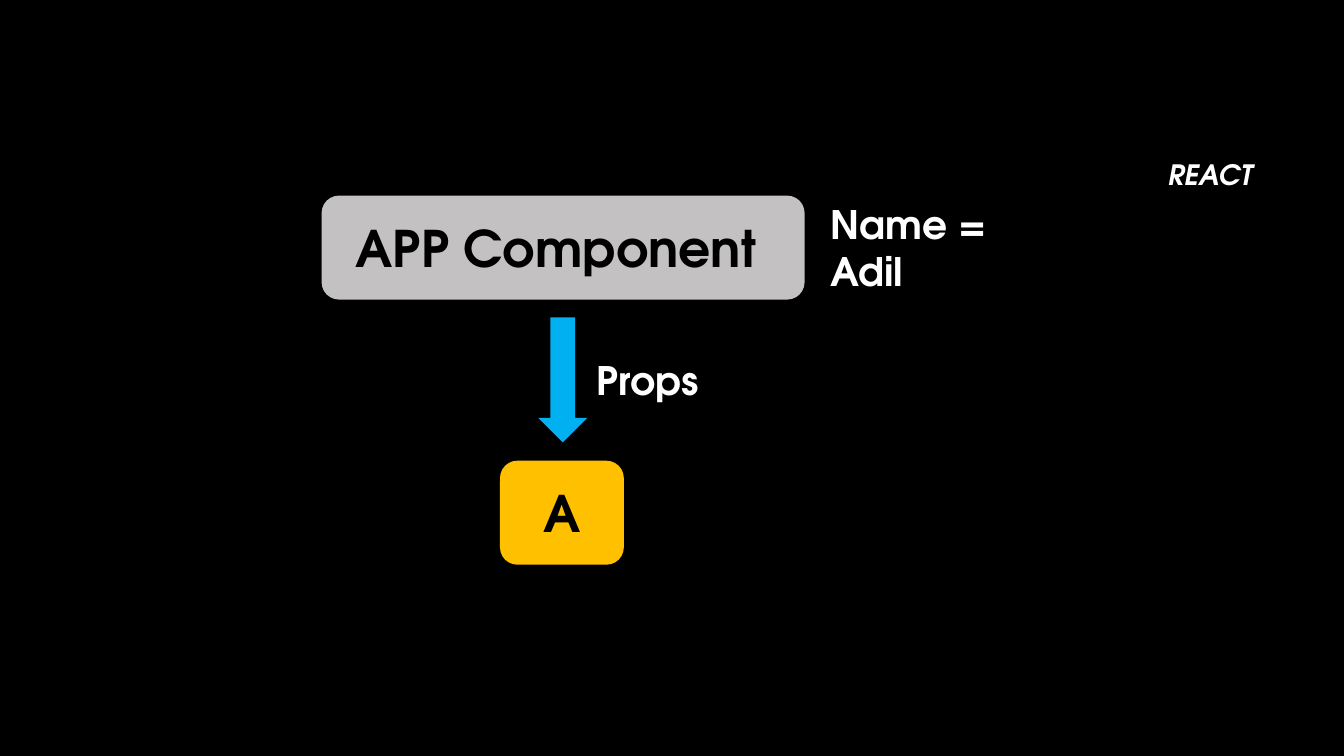
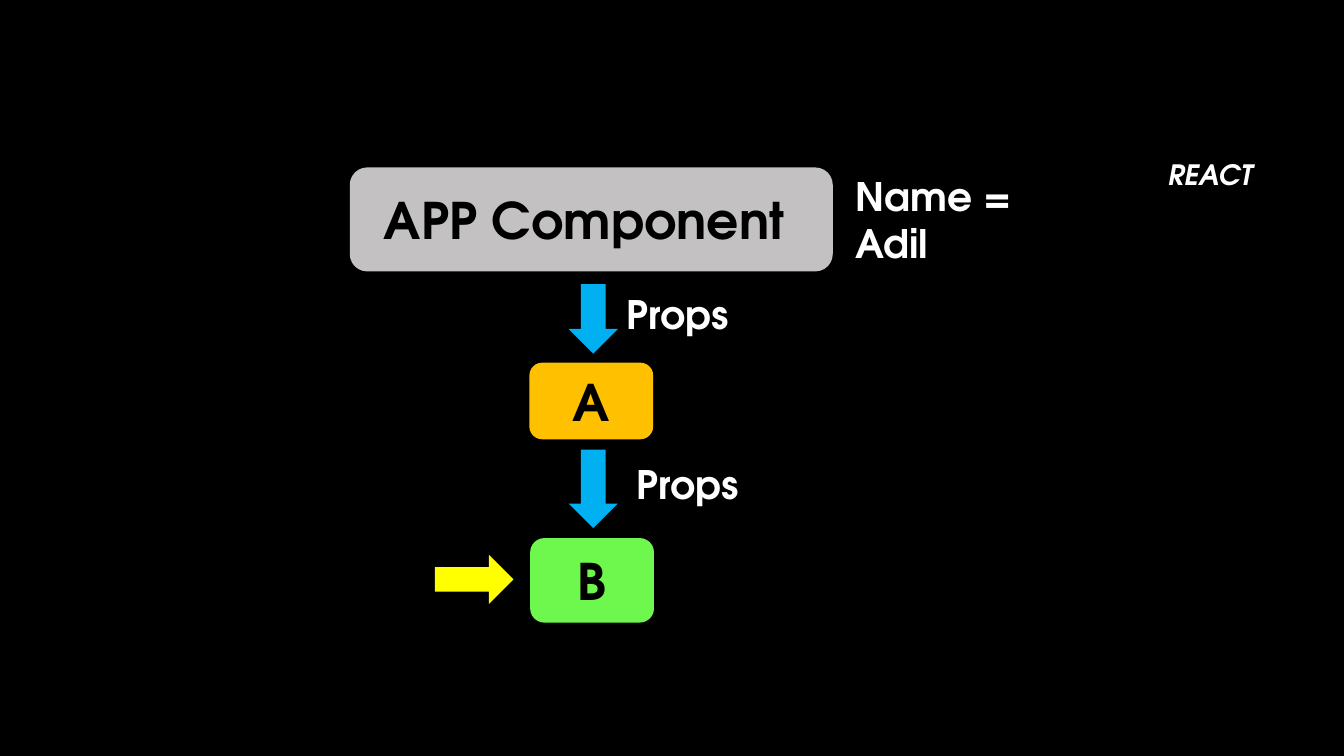
from pptx import Presentation, util as u
from pptx.dml.color import RGBColor
from pptx.enum import shapes, text

FONT = "TeX Gyre Adventor"
BLACK, WHITE, GREY = "000000", "FFFFFF", "C3C1C1"
AMBER, GREEN, BLUE, YELLOW = "FFC000", "6EF84E", "00B0F0", "FFFF00"
ROUND, ARROW = shapes.MSO_SHAPE.ROUNDED_RECTANGLE, shapes.MSO_SHAPE.DOWN_ARROW
APP_W, APP_H, NODE_W, ARROW_W = 12.17, 2.62, 3.12, 1.24
LABEL_H = 1.45


def paint(fmt, color):
    fmt.solid()
    fmt.fore_color.rgb = RGBColor.from_string(color)


def put(s, words, x, y, w, h, shape=None, fill=None, color=WHITE, size=28,
        italic=False, right=0, rotation=0):
    """Add a filled shape, or a plain label when no shape is given."""
    box = [u.Cm(v) for v in (x, y, w, h)]
    if shape is None:
        sp = s.shapes.add_textbox(*box)
        sp.text_frame.margin_right = u.Cm(right)
    else:
        sp = s.shapes.add_shape(shape, *box)
        sp.shadow.inherit = False
        paint(sp.fill, fill)
        sp.line.fill.background()
        sp.rotation = rotation
    if words:
        tf = sp.text_frame
        tf.word_wrap = True
        tf.vertical_anchor = text.MSO_ANCHOR.MIDDLE
        p = tf.paragraphs[0]
        p.alignment = text.PP_ALIGN.CENTER if shape else text.PP_ALIGN.LEFT
        r = p.add_run()
        r.text = words
        r.font.name, r.font.size = FONT, u.Pt(size)
        r.font.bold, r.font.italic = True, italic
        paint(r.font.fill, color)
    return sp


prs = Presentation()
prs.slide_width, prs.slide_height = u.Inches(13.333), u.Inches(7.5)
master = prs.slide_master
paint(master.background.fill, BLACK)

# Each slide: column centre, top of the app box, left of the name label,
# nodes (text, fill, centre, top, height), arrows (centre, top, height),
# props labels (left, top)
slides = [
    dict(center=14.19, top=4.93, name_x=20.68,
         nodes=[("A", AMBER, 14.16, 11.61, 2.62)],
         arrows=[(14.18, 8, 3.15)],
         props=[(14.78, 8.84)]),
    dict(center=14.9, top=4.22, name_x=21.31,
         nodes=[("A", AMBER, 14.9, 9.14, 1.93), ("B", GREEN, 14.92, 13.56, 2.13)],
         arrows=[(14.95, 7.16, 1.75), (14.95, 11.33, 1.98)],
         props=[(15.54, 7.19), (15.8, 11.48)]),
]

for d in slides:
    s = prs.slides.add_slide(prs.slide_layouts[6])

    # App component and its state
    put(s, "APP Component ", d["center"] - APP_W / 2, d["top"], APP_W, APP_H,
        ROUND, GREY, BLACK, 36)
    put(s, "Name = Adil", d["name_x"], d["top"] + 0.58, 6.53, LABEL_H, right=1)

    # Child components
    for name, fill, cx, y, h in d["nodes"]:
        put(s, name, cx - NODE_W / 2, y, NODE_W, h, ROUND, fill, BLACK, 36)

    # Props passed down
    for cx, y, h in d["arrows"]:
        put(s, "", cx - ARROW_W / 2, y, ARROW_W, h, ARROW, BLUE)
    for x, y in d["props"]:
        put(s, "Props", x, y, 3.4, LABEL_H)

# Pointer to component B on the last slide
put(s, "", 11.33, 13.61, ARROW_W, 1.98, ARROW, YELLOW, rotation=270)

# Topic tag, moved to the master so that every slide shows it
tag = put(s, "REACT", 29.18, 3.84, 2.67, 1.12, size=20, italic=True)
master.shapes.element.append(tag.element)

prs.save("out.pptx")
